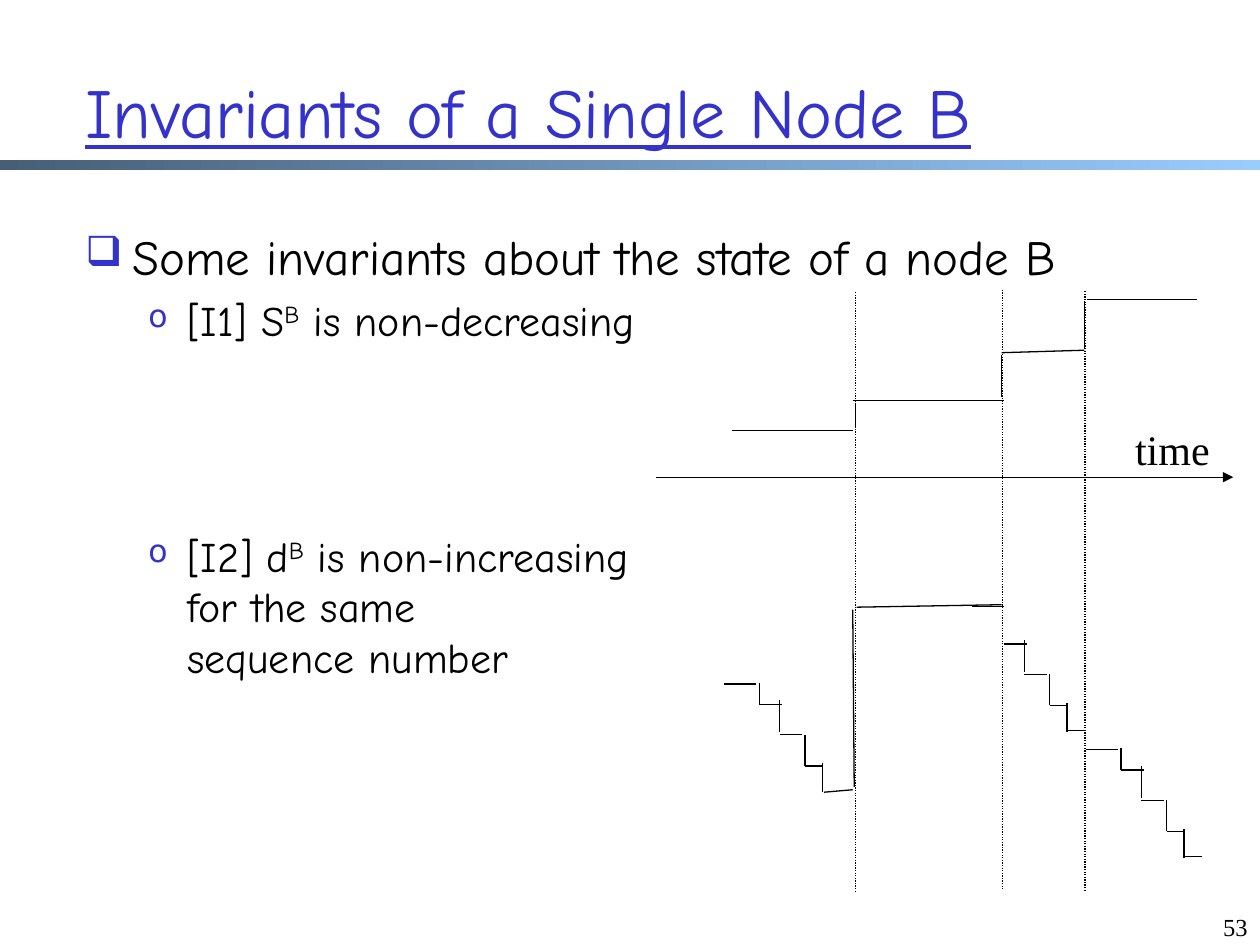
from pptx import Presentation
from pptx import util as u
from pptx.dml import color as col
from pptx.enum import dml, shapes, text as tx
from pptx.oxml import ns
from lxml import etree

HUES = {"ink": "000000", "blue": "3333CC", "dark": "475E76", "light": "99CCFF"}
HAND, SERIF = "Comic Neue", "Times New Roman"
STAIRS = [
    (0, 0, 0.64, 0), (0.71, -0.03, 0.71, 0.41), (0.71, 0.41, 1.17, 0.41),
    (1.12, 0.33, 1.12, 0.97), (1.12, 1.02, 1.57, 1.02), (1.63, 1.02, 1.63, 1.65),
    (1.63, 1.65, 1.98, 1.65), (1.98, 1.6, 1.98, 2.18), (1.98, 2.16, 2.34, 2.16),
]
RISES = [
    (0, 2.64, 2.44, 2.64), (2.49, 2.57, 2.49, 2.11), (2.44, 2.03, 5.49, 2.03),
    (5.44, 1.96, 5.44, 1.12), (5.44, 1.07, 7.11, 1.02), (7.11, 0.99, 7.11, 0.03),
    (7.16, 0, 9.37, 0),
]
JUMP = [
    (2.01, 3.78, 2.59, 3.73), (2.62, 3.67, 2.59, 0.1),
    (2.67, 0.05, 5.59, 0), (5.0, 0.03, 5.64, 0.03),
]


def tint(name):
    return col.RGBColor.from_string(HUES[name])


def sub(node, tag, **attrs):
    return etree.SubElement(node, ns.qn(tag), attrs)


def frame(slide, box, wrap=True, anchor=tx.MSO_ANCHOR.TOP):
    body = slide.shapes.add_textbox(*map(u.Cm, box)).text_frame
    body.word_wrap = wrap
    body.vertical_anchor = anchor
    return body


def write(para, words, size=24, font=HAND, hue="ink", under=None, base=0):
    for i, part in enumerate(words.split("\n")):
        if i:
            para.add_line_break()
        run = para.add_run()
        run.text = part
        run.font.name = font
        run.font.size = u.Pt(size)
        run.font.color.rgb = tint(hue)
        run.font.underline = under
        if base:
            run.font._element.set("baseline", str(base * 1000))


def bullet(para, mark, scale, left, hang):
    props = para._p.get_or_add_pPr()
    props.set("marL", str(u.Cm(left)))
    props.set("indent", str(-u.Cm(hang)))
    sub(sub(props, "a:buClr"), "a:srgbClr", val=HUES["blue"])
    sub(props, "a:buSzPct", val=str(scale * 1000))
    sub(props, "a:buChar", char=mark)


def line(slide, ends, left=0, top=0, dots=False, head=False):
    x1, y1, x2, y2 = ends
    rule = slide.shapes.add_connector(
        shapes.MSO_CONNECTOR.STRAIGHT,
        u.Cm(left + x1), u.Cm(top + y1), u.Cm(left + x2), u.Cm(top + y2))
    rule.line.color.rgb = tint("ink")
    rule.line.width = u.Pt(0.75)
    if dots:
        rule.line.dash_style = dml.MSO_LINE.ROUND_DOT
    if head:
        sub(rule.line._get_or_add_ln(), "a:tailEnd", type="triangle")
    sub(rule._element.spPr, "a:effectLst")


def lines(slide, rows, left, top):
    for ends in rows:
        line(slide, ends, left, top)


def header(slide, left, top, width, height):
    bar = slide.shapes.add_shape(
        shapes.MSO_SHAPE.RECTANGLE, 0, u.Cm(top + 2.59), u.Cm(25.4), u.Cm(0.2))
    bar.shadow.inherit = False
    bar.line.fill.background()
    bar.fill.gradient()
    bar.fill.gradient_angle = 0
    for stop, name in zip(bar.fill.gradient_stops, ("dark", "light")):
        stop.color.rgb = tint(name)
    body = frame(slide, (left, top, width, height), anchor=tx.MSO_ANCHOR.MIDDLE)
    write(body.paragraphs[0], "Invariants of a Single Node B",
          size=40, hue="blue", under=True)


def claims(slide, left, top, width, height):
    body = frame(slide, (left, top, width, height))
    lead = body.paragraphs[0]
    bullet(lead, "❑", 85, 0.95, 0.95)
    write(lead, "Some invariants about the state of a node B", size=28)
    rows = [
        ("[I1] S", " is non-decreasing", 5),
        ("[I2] d", " is non-increasing \nfor the same \nsequence number", 106),
    ]
    for name, rest, gap in rows:
        para = body.add_paragraph()
        bullet(para, "o", 75, 2.06, 0.79)
        para.space_before = u.Pt(gap)
        write(para, name)
        write(para, "B", base=30)
        write(para, rest)


def graph(slide, left, top, width, height):
    for x, y in ((4.01, 0.05), (6.98, 0), (8.64, 0.03)):
        line(slide, (x, y, x, y + height), left, top, dots=True)
    lines(slide, RISES, left + 1.52, top + 0.2)
    lines(slide, STAIRS[:8], left + 1.37, top + 7.95)
    lines(slide, JUMP, left + 1.37, top + 6.35)
    lines(slide, STAIRS[2:], left + 6.3, top + 6.73)
    lines(slide, STAIRS, left + 8.66, top + 9.27)
    line(slide, (0, 3.78, width, 3.78), left, top, head=True)
    label = frame(slide, (left + 9.4, top + 2.57, 2.01, 1.27), wrap=False)
    para = label.paragraphs[0]
    para.alignment = tx.PP_ALIGN.CENTER
    write(para, "time", font=SERIF)


def footer(slide, left, top, width, height):
    para = frame(slide, (left, top, width, height)).paragraphs[0]
    para.alignment = tx.PP_ALIGN.RIGHT
    write(para, "53", size=14, font=SERIF)


def main():
    deck = Presentation()
    deck.slide_width, deck.slide_height = u.Cm(25.4), u.Cm(19.05)
    slide = deck.slides.add_slide(deck.slide_layouts[6])
    header(slide, 1.47, 0.64, 22.3, 3.17)
    claims(slide, 1.47, 4.45, 22.38, 13.49)
    graph(slide, 13.23, 5.84, 11.63, 12.1)
    footer(slide, 23.5, 18.26, 1.9, 0.79)
    deck.save("out.pptx")


if __name__ == "__main__":
    main()
